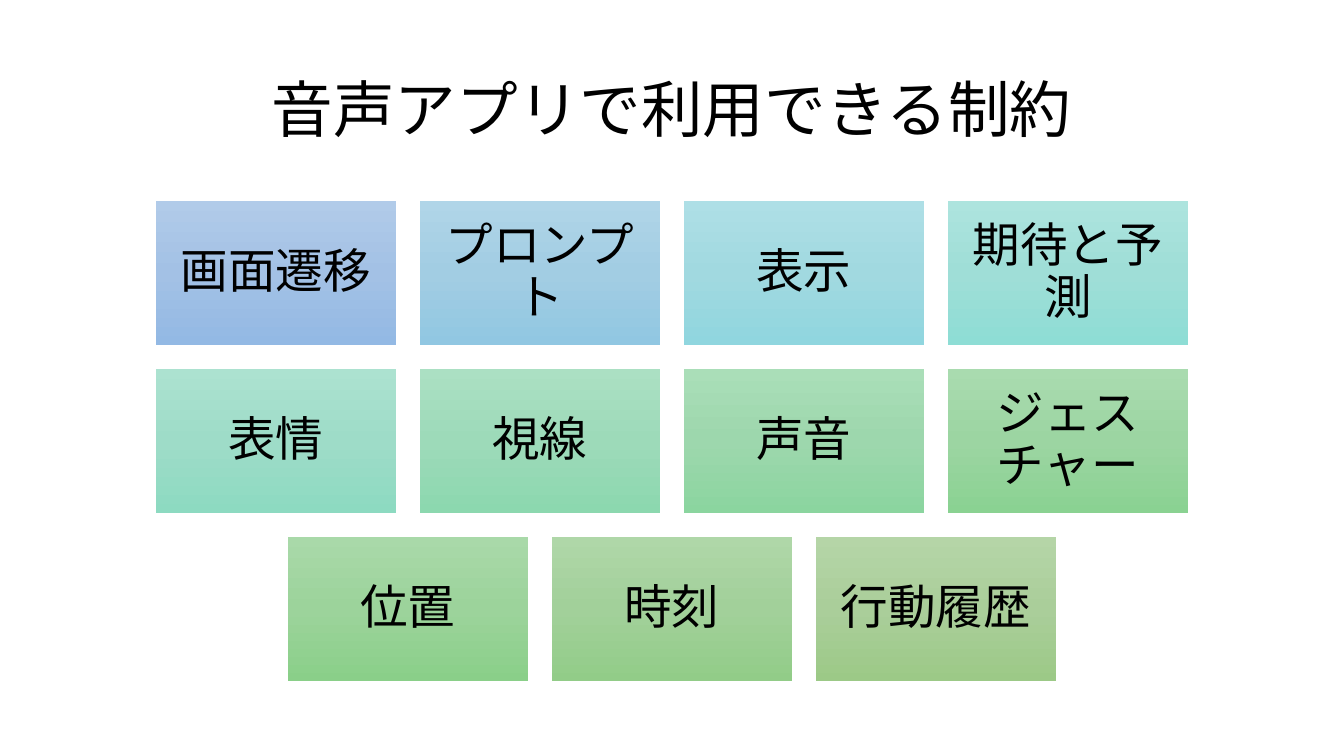
from copy import deepcopy
from dataclasses import dataclass

from pptx import Presentation
from pptx import util as u
from pptx.dml.color import RGBColor
from pptx.enum import lang, shapes, text
from pptx.oxml.ns import qn


@dataclass(frozen=True)
class Theme:
    font: str = "Arial"
    ink: str = "000000"
    title_size: int = 44
    tile_size: int = 34


THEME = Theme()
SLIDE_WIDTH, SLIDE_HEIGHT = 1344, 756
TILE_WIDTH, TILE_HEIGHT, GAP = 240, 144, 24
TILES_TOP, TILE_INSET = 201, 14

# Each tile: label, then gradient colours from top to bottom
TILE_ROWS = [
    [("画面遷移", "B1CBE9", "A3C1E5", "93B9E4"),
     ("プロンプト", "B0D5E8", "A2CDE3", "91C7E2"),
     ("表示", "AEDFE6", "A1D9E0", "90D6DF"),
     ("期待と予測", "ADE4DE", "9FDED7", "8EDDD5")],
    [("表情", "ACE2D0", "9EDCC8", "8DDAC1"),
     ("視線", "ABE0C3", "9DDAB9", "8CD8AF"),
     ("声音", "AADEB8", "9DD7AD", "8BD59F"),
     ("ジェスチャー", "A9DBAF", "9CD5A2", "8AD292")],
    [("位置", "A9D9A9", "9CD39B", "8ACF89"),
     ("時刻", "AFD7A8", "A2D09A", "92CC88"),
     ("行動履歴", "B5D5A7", "AACE9A", "9CC987")],
]


def px(length):
    return u.Emu(round(length * 914400 / 100.8))


def write_centred(shape, words, size, inset):
    frame = shape.text_frame
    frame.word_wrap = True
    frame.vertical_anchor = text.MSO_ANCHOR.MIDDLE
    frame.margin_left = frame.margin_right = px(inset)
    frame.margin_top = frame.margin_bottom = px(inset)
    paragraph = frame.paragraphs[0]
    paragraph.alignment = text.PP_ALIGN.CENTER
    paragraph.line_spacing = 0.9
    run = paragraph.add_run()
    run.text = words
    run.font.name = THEME.font
    run.font.size = u.Pt(size)
    run.font.color.rgb = RGBColor.from_string(THEME.ink)
    run.font.language_id = lang.MSO_LANGUAGE_ID.JAPANESE


presentation = Presentation()
presentation.slide_width = px(SLIDE_WIDTH)
presentation.slide_height = px(SLIDE_HEIGHT)
slide = presentation.slides.add_slide(presentation.slide_layouts[6])

title = slide.shapes.add_textbox(px(92), px(40), px(1160), px(146))
write_centred(title, "音声アプリで利用できる制約", THEME.title_size, 8)

for row, tiles in enumerate(TILE_ROWS):
    row_width = len(tiles) * (TILE_WIDTH + GAP) - GAP
    row_left = (SLIDE_WIDTH - row_width) // 2
    top = TILES_TOP + row * (TILE_HEIGHT + GAP)
    for column, (label, *colours) in enumerate(tiles):
        left = row_left + column * (TILE_WIDTH + GAP)
        tile = slide.shapes.add_shape(
            shapes.MSO_SHAPE.RECTANGLE,
            px(left), px(top), px(TILE_WIDTH), px(TILE_HEIGHT))
        tile.shadow.inherit = False
        tile.line.fill.background()
        tile.fill.gradient()
        tile.fill.gradient_angle = 270
        stop_list = tile._element.spPr.find(qn("a:gradFill")).find(qn("a:gsLst"))
        stop_list.insert(1, deepcopy(stop_list[0]))
        for index, (stop, colour) in enumerate(zip(tile.fill.gradient_stops, colours)):
            stop.position = index / 2
            stop.color.rgb = RGBColor.from_string(colour)
        write_centred(tile, label, THEME.tile_size, TILE_INSET)

presentation.save("out.pptx")
